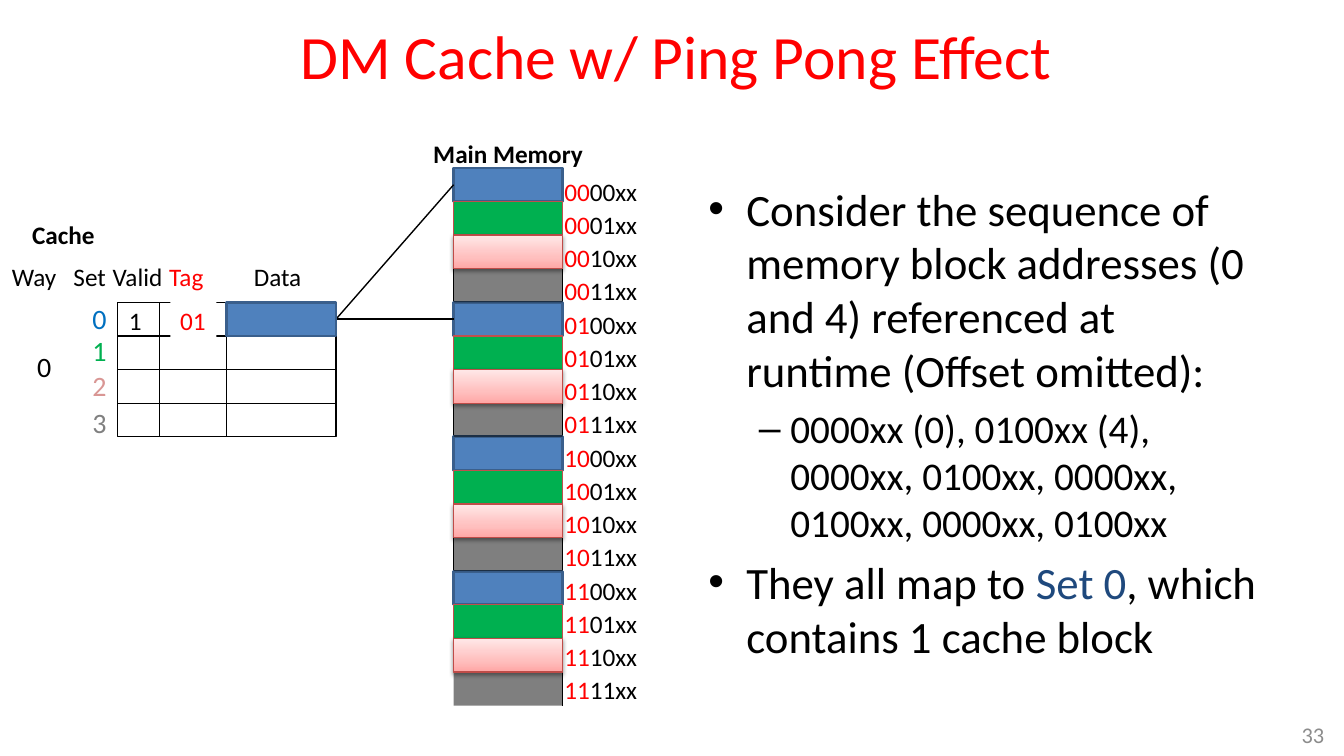
from lxml import etree
from pptx import Presentation
from pptx.dml.color import RGBColor
from pptx.enum.shapes import MSO_CONNECTOR, MSO_SHAPE
from pptx.enum.text import MSO_ANCHOR, PP_ALIGN
from pptx.oxml.ns import qn
from pptx.util import Pt

STRAIGHT = MSO_CONNECTOR.STRAIGHT
RECTANGLE = MSO_SHAPE.RECTANGLE
TOP, MIDDLE = MSO_ANCHOR.TOP, MSO_ANCHOR.MIDDLE
LEFT, CENTER, RIGHT = PP_ALIGN.LEFT, PP_ALIGN.CENTER, PP_ALIGN.RIGHT

BLACK = RGBColor(0x00, 0x00, 0x00)
WHITE = RGBColor(0xFF, 0xFF, 0xFF)
RED = RGBColor(0xFF, 0x00, 0x00)
NAVY = RGBColor(0x1F, 0x49, 0x7D)
BLUE = RGBColor(0x4F, 0x81, 0xBD)
BLUE_EDGE = RGBColor(0x3A, 0x5F, 0x8C)
GREEN = RGBColor(0x00, 0xB0, 0x50)
GREEN_EDGE = RGBColor(0xC0, 0x50, 0x4D)
PINK_EDGE = RGBColor(0xBF, 0x4C, 0x48)
SET_BLUE = RGBColor(0x00, 0x70, 0xC0)
SET_PINK = RGBColor(0xD9, 0x96, 0x94)
SET_GRAY = RGBColor(0x80, 0x80, 0x80)
PAGE_GRAY = RGBColor(0x8C, 0x8C, 0x8C)
PINK_STOPS = ((0, RGBColor(0xFF, 0xA6, 0xA5)), (35, RGBColor(0xFF, 0xC0, 0xBF)),
              (100, RGBColor(0xFF, 0xE7, 0xE7)))

FONT = "Calibri"
ROW = 24
BLOCK_WIDTH = 78


def style(font, size, color=None, bold=False):
    font.name, font.size, font.bold = FONT, Pt(size), bold
    if color is not None:
        font.color.rgb = color


def add_line(slide, x1, y1, x2, y2):
    line = slide.shapes.add_connector(STRAIGHT, Pt(x1), Pt(y1), Pt(x2), Pt(y2))
    line.line.color.rgb = BLACK
    line.line.width = Pt(1)
    etree.SubElement(line._element.spPr, qn("a:effectLst"))


def add_block(slide, x, y, width, height, fill=None, edge=None, edge_width=1):
    block = slide.shapes.add_shape(RECTANGLE, Pt(x), Pt(y), Pt(width), Pt(height))
    block.shadow.inherit = False
    if fill is None:
        block.fill.background()
    else:
        block.fill.solid()
        block.fill.fore_color.rgb = fill
    if edge is None:
        block.line.fill.background()
    else:
        block.line.color.rgb = edge
        block.line.width = Pt(edge_width)
    return block


def add_label(slide, box, text, size=18, color=BLACK, bold=False, wrap=False,
              align=LEFT, anchor=TOP):
    label = slide.shapes.add_textbox(*map(Pt, box))
    frame = label.text_frame
    frame.word_wrap, frame.vertical_anchor = wrap, anchor
    paragraph = frame.paragraphs[0]
    paragraph.text, paragraph.alignment = text, align
    style(paragraph.font, size, color, bold)
    return label


# Memory block looks, one per cache set
def blue_block(slide, x, y):
    add_block(slide, x, y, BLOCK_WIDTH, ROW, BLUE, BLUE_EDGE, 2)


def green_block(slide, x, y):
    add_block(slide, x, y, BLOCK_WIDTH, ROW, GREEN, GREEN_EDGE)


def gray_block(slide, x, y):
    block = add_block(slide, x, y, BLOCK_WIDTH, ROW, BLACK)
    color = block._element.spPr.find(".//" + qn("a:srgbClr"))
    etree.SubElement(color, qn("a:alpha"), val="50000")


def pink_block(slide, x, y):
    block = add_block(slide, x, y, BLOCK_WIDTH, ROW, None, PINK_EDGE, 0.75)
    block.fill.gradient()
    block.fill.gradient_angle = 90
    properties = block._element.spPr
    stops = properties.find(".//" + qn("a:gsLst"))
    for stop in list(stops):
        stops.remove(stop)
    for position, color in PINK_STOPS:
        stop = etree.SubElement(stops, qn("a:gs"), pos=str(position * 1000))
        etree.SubElement(stop, qn("a:srgbClr"), val=str(color))
    shadow = etree.SubElement(properties.find(qn("a:effectLst")), qn("a:outerShdw"),
                              blurRad=str(Pt(3.1)), dist=str(Pt(1.6)),
                              dir="5400000", rotWithShape="0")
    shade = etree.SubElement(shadow, qn("a:srgbClr"), val=str(BLACK))
    etree.SubElement(shade, qn("a:alpha"), val="38000")


def draw_memory(slide, x, y):
    rows = 16
    add_label(slide, (x - 21.6, y - 25, 122.4, 29), "Main Memory", bold=True)
    # Row rules and sides
    for row in range(rows):
        add_line(slide, x, y + row * ROW, x + BLOCK_WIDTH, y + row * ROW)
    add_line(slide, x, y, x, y + 12 * ROW)
    add_line(slide, x + BLOCK_WIDTH, y, x + BLOCK_WIDTH, y + rows * ROW)
    # Blocks repeat every four rows
    for first, draw in ((0, blue_block), (3, gray_block), (1, green_block), (2, pink_block)):
        for row in range(first, rows, 4):
            draw(slide, x, y + row * ROW)
    # Addresses: tag bits in red, set bits in black
    addresses = slide.shapes.add_textbox(Pt(x + 72), Pt(y), Pt(78), Pt(391))
    frame = addresses.text_frame
    frame.word_wrap = True
    for row in range(rows):
        paragraph = frame.paragraphs[0] if row == 0 else frame.add_paragraph()
        paragraph.line_spacing = 1.1
        style(paragraph.font, 18)
        for text, color in ((f"{row // 4:02b}", RED), (f"{row % 4:02b}xx", BLACK)):
            run = paragraph.add_run()
            run.text, run.font.color.rgb = text, color


def draw_cache(slide, x, y, memory_x, memory_y):
    data_x = x + 78
    # Headings
    add_label(slide, (x - 68.2, y - 62.6, 60, 29), "Cache", bold=True)
    for text, offset, width, color in (
            ("Way", -82.6, 47, BLACK), ("Set", -38.6, 38, BLACK), ("Valid", -10.6, 50, BLACK),
            ("Tag", 29.8, 39, RED), ("Data", 90.2, 49, BLACK)):
        add_label(slide, (x + offset, y - 33, width, 29), text, color=color)
    # Valid, tag and data columns
    for left, width in ((x, 30), (x + 30, 48), (data_x, BLOCK_WIDTH)):
        add_block(slide, left, y, width, 4 * ROW, edge=BLACK)
        for row in range(1, 4):
            add_line(slide, left, y + row * ROW, left + width, y + row * ROW)
    # Way and set numbers
    add_label(slide, (x - 64.6, y + 30.2, 24.5, 31.7), "0", 20)
    for number, (offset, color) in enumerate(
            ((-4.3, SET_BLUE), (18.7, GREEN), (43.9, SET_PINK), (69.8, SET_GRAY))):
        add_label(slide, (x - 25, y + offset, 24.5, 31.7), str(number), 20, color)
    # Links from the set 0 data to its two memory blocks
    link_x, link_y = data_x + BLOCK_WIDTH, y + ROW / 2
    for row in (0, 4):
        add_line(slide, memory_x, memory_y + (row + 0.5) * ROW, link_x, link_y)
    # Contents of set 0
    add_label(slide, (x + 1, y - 1.4, 24, 29), "1", wrap=True, anchor=MIDDLE)
    blue_block(slide, data_x, y)
    tag = add_label(slide, (x + 37.7, y - 1.4, 33, 29), "01", color=RED,
                    wrap=True, anchor=MIDDLE)
    tag.fill.solid()
    tag.fill.fore_color.rgb = WHITE


def draw_explanation(slide, x, y, width, height):
    frame = slide.shapes.add_textbox(Pt(x), Pt(y), Pt(width), Pt(height)).text_frame
    frame.word_wrap = True
    points = (
        (0, (("Consider the sequence of memory block addresses (0 and 4) referenced at "
              "runtime (Offset omitted):", BLACK),)),
        (1, (("0000xx (0), 0100xx (4), 0000xx, 0100xx, 0000xx, 0100xx, 0000xx, 0100xx",
              BLACK),)),
        (0, (("They all map to ", BLACK), ("Set 0", NAVY),
             (", which contains 1 cache block", BLACK))))
    levels = (("•", 27, 27, 32), ("–", 58.5, 22.5, 28))
    for index, (level, runs) in enumerate(points):
        bullet, margin, hanging, size = levels[level]
        paragraph = frame.add_paragraph() if index else frame.paragraphs[0]
        paragraph.level = level
        properties = paragraph._p.get_or_add_pPr()
        properties.set("marL", str(Pt(margin)))
        properties.set("indent", str(-Pt(hanging)))
        etree.SubElement(properties, qn("a:buFont"), typeface="Arial")
        etree.SubElement(properties, qn("a:buChar"), char=bullet)
        style(paragraph.font, size)
        if index:
            paragraph.space_before = Pt(size * 0.2)
        for text, color in runs:
            run = paragraph.add_run()
            run.text, run.font.color.rgb = text, color


def main():
    deck = Presentation()
    deck.slide_width, deck.slide_height = Pt(960), Pt(540)
    slide = deck.slides.add_slide(deck.slide_layouts[6])
    draw_explanation(slide, 499, 126, 413, 356)
    draw_memory(slide, 324, 120)
    draw_cache(slide, 84, 216, 324, 120)
    title = add_label(slide, (110, 6.5, 746, 74), "DM Cache w/ Ping Pong Effect", 44, RED,
                      wrap=True, align=CENTER, anchor=MIDDLE)
    title.text_frame.paragraphs[0].line_spacing = 0.85
    add_label(slide, (905, 510, 48, 30), "33", 16, PAGE_GRAY,
              wrap=True, align=RIGHT, anchor=MIDDLE)
    deck.save("out.pptx")


if __name__ == "__main__":
    main()
